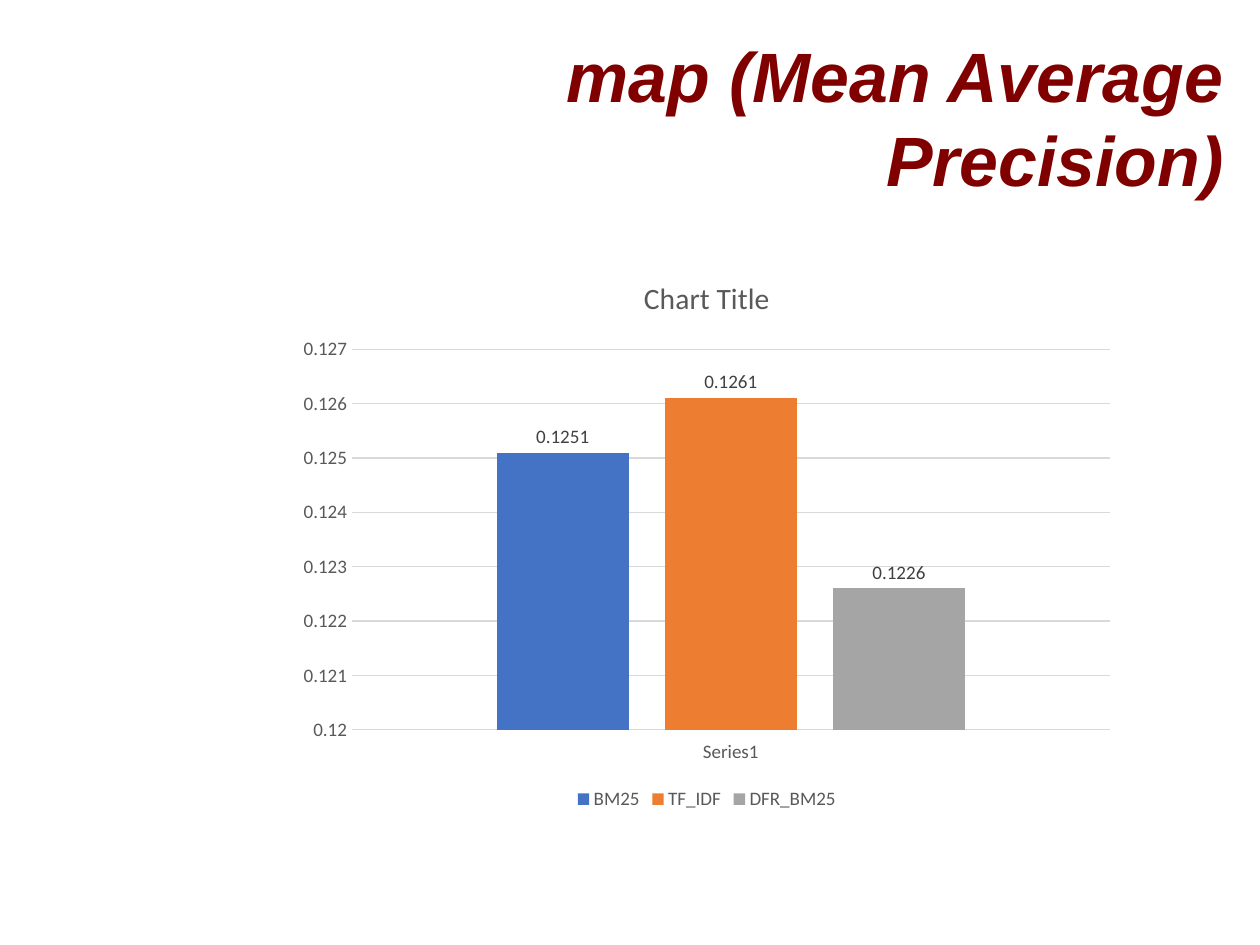
from pptx import Presentation
from pptx.chart.data import CategoryChartData
from pptx.dml.color import RGBColor
from pptx.enum import chart as ch, text
from pptx.util import Inches, Pt

GREY, LIGHT, DARK = "595959", "D9D9D9", "404040"
SCORES = [
    ("BM25", 0.1251, "4472C4"),
    ("TF_IDF", 0.1261, "ED7D31"),
    ("DFR_BM25", 0.1226, "A5A5A5"),
]


def rgb(value):
    return RGBColor.from_string(value)


def style_font(font, size=12, color=GREY, name="Calibri", bold=False, italic=False):
    font.size, font.name = Pt(size), name
    font.bold, font.italic = bold, italic
    font.color.rgb = rgb(color)


def write(tf, content, align=None, **fmt):
    p = tf.paragraphs[0]
    p.alignment = align
    r = p.add_run()
    r.text = content
    style_font(r.font, **fmt)


def style_line(line, color=LIGHT):
    line.color.rgb = rgb(color)
    line.width = Pt(0.75)


def place_title(s, content):
    sp = s.shapes.title
    sp.left, sp.top = Inches(3.98), Inches(0.33)
    sp.width, sp.height = Inches(6.73), Inches(1.38)
    tf = sp.text_frame
    tf.margin_left = tf.margin_right = tf.margin_top = tf.margin_bottom = 0
    tf.word_wrap = True
    tf.auto_size = text.MSO_AUTO_SIZE.NONE
    tf.vertical_anchor = text.MSO_ANCHOR.MIDDLE
    write(tf, content, align=text.PP_ALIGN.RIGHT,
          size=44, color="800000", name="Arial", bold=True, italic=True)


def style_axes(chart):
    for axis in (chart.category_axis, chart.value_axis):
        axis.major_tick_mark = axis.minor_tick_mark = ch.XL_TICK_MARK.NONE
        style_font(axis.tick_labels.font)
    chart.category_axis.tick_label_position = ch.XL_TICK_LABEL_POSITION.LOW
    style_line(chart.category_axis.format.line)

    values = chart.value_axis
    values.minimum_scale, values.maximum_scale = 0.12, 0.127
    values.major_unit = 0.001
    values.tick_labels.number_format = "General"
    values.tick_labels.number_format_is_linked = False
    values.format.line.fill.background()
    values.has_major_gridlines = True
    style_line(values.major_gridlines.format.line)


def style_series(series, color):
    series.format.fill.solid()
    series.format.fill.fore_color.rgb = rgb(color)
    series.invert_if_negative = False
    labels = series.data_labels
    labels.show_value = True
    labels.position = ch.XL_LABEL_POSITION.OUTSIDE_END
    style_font(labels.font, color=DARK)


def add_score_chart(s):
    data = CategoryChartData(number_format="General")
    data.categories = ["Series1"]
    for name, score, _ in SCORES:
        data.add_series(name, [score])
    chart = s.shapes.add_chart(
        ch.XL_CHART_TYPE.COLUMN_CLUSTERED, Inches(2.51), Inches(2.23),
        Inches(7.35), Inches(4.9), data).chart
    style_font(chart.font, size=10, color="000000", name="Arial")

    # Chart title and legend
    chart.has_title = True
    write(chart.chart_title.text_frame, "Chart Title", size=18.6)
    chart.chart_title.include_in_layout = False
    chart.has_legend = True
    chart.legend.position = ch.XL_LEGEND_POSITION.BOTTOM
    chart.legend.include_in_layout = False
    style_font(chart.legend.font)

    # Axes and columns
    style_axes(chart)
    plot = chart.plots[0]
    plot.gap_width, plot.overlap = 219, -27
    plot.vary_by_categories = False
    for series, (_, _, color) in zip(plot.series, SCORES):
        style_series(series, color)


def main():
    prs = Presentation()
    # Page of 793.75 by 595.25 points
    prs.slide_width, prs.slide_height = Inches(793.75 / 72), Inches(595.25 / 72)
    s = prs.slides.add_slide(prs.slide_layouts[5])
    place_title(s, "map (Mean Average Precision)")
    add_score_chart(s)
    prs.save("out.pptx")


if __name__ == "__main__":
    main()
